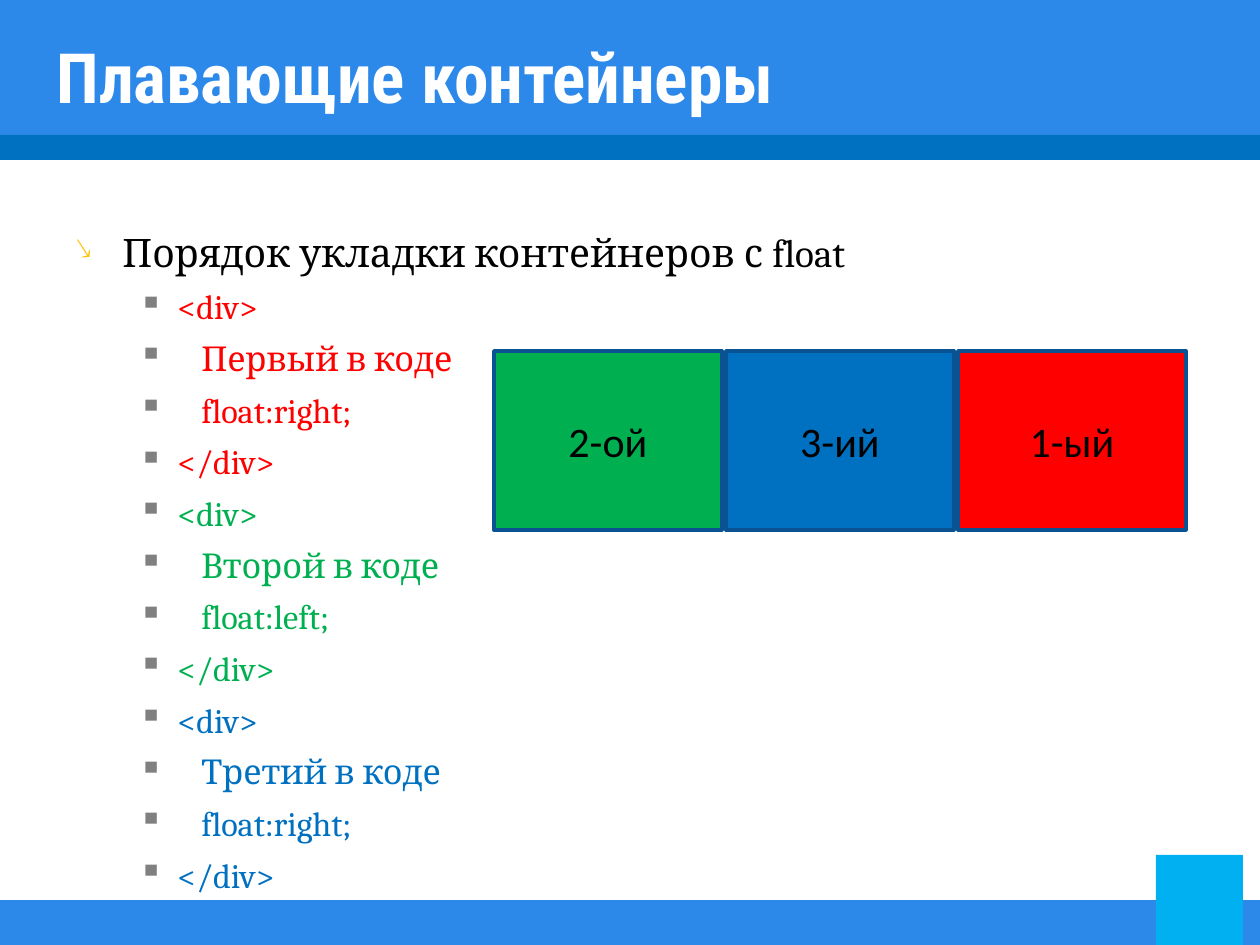
"""Build the slide about the stacking order of floating containers."""
import pptx
import pptx.dml.color
import pptx.enum.shapes
import pptx.enum.text
import pptx.oxml
import pptx.oxml.ns
import pptx.util

PX = 914400 // 126
COLORS = {
    "band": "2C88E9", "accent": "00B0F0", "red": "FF0000", "green": "00B050",
    "blue": "0070C0", "outline": "0B5292", "arrow": "FFC000", "bullet": "808080",
    "white": "FFFFFF", "black": "000000",
}


def add_box(slide, left, top, width, height, color):
    shape = slide.shapes.add_shape(
        pptx.enum.shapes.MSO_SHAPE.RECTANGLE, left * PX, top * PX, width * PX, height * PX)
    shape.shadow.inherit = False
    shape.fill.solid()
    shape.fill.fore_color.rgb = pptx.dml.color.RGBColor.from_string(COLORS[color])
    shape.line.fill.background()
    return shape


def style_font(paragraph, name, size, color):
    paragraph.font.name = name
    paragraph.font.size = pptx.util.Pt(size)
    paragraph.font.color.rgb = pptx.dml.color.RGBColor.from_string(COLORS[color])


presentation = pptx.Presentation()
presentation.slide_width = 1260 * PX
presentation.slide_height = 945 * PX
slide = presentation.slides.add_slide(presentation.slide_layouts[5])

for band in [
    (0, 0, 1260, 135, "band"),
    (0, 135, 1260, 25, "blue"),
    (0, 900, 1260, 45, "band"),
    (1156, 855, 87, 90, "accent"),
]:
    add_box(slide, *band)

title = slide.shapes.title
title.element.getparent().append(title.element)
title.left, title.top, title.width, title.height = 44 * PX, 37 * PX, 1134 * PX, 77 * PX
title.text_frame.text = "Плавающие контейнеры"
title.text_frame.vertical_anchor = pptx.enum.text.MSO_ANCHOR.MIDDLE
title_paragraph = title.text_frame.paragraphs[0]
title_paragraph.alignment = pptx.enum.text.PP_ALIGN.LEFT
title_paragraph.font.bold = True
style_font(title_paragraph, "Roboto Condensed", 39.6, "white")

lines = [("Порядок укладки контейнеров с float", "black")]
for ordinal, side, color in [
    ("Первый", "right", "red"),
    ("Второй", "left", "green"),
    ("Третий", "right", "blue"),
]:
    for text in ["<div>", f"\t{ordinal} в коде", f"\tfloat:{side};", "</div>"]:
        lines.append((text, color))

body = slide.shapes.add_textbox(63 * PX, 220 * PX, 1134 * PX, 619 * PX)
body.text_frame.word_wrap = True
for index, (text, color) in enumerate(lines):
    heading = index == 0
    paragraph = body.text_frame.paragraphs[0] if heading else body.text_frame.add_paragraph()
    paragraph.text = text
    paragraph.level = 0 if heading else 1
    paragraph.line_spacing = pptx.util.Pt(28 if heading else 23.5)
    paragraph.space_before = pptx.util.Pt(0 if heading else 6)
    style_font(paragraph, "Cambria", 22.4 if heading else 19.6, color)
    margin, hanging, mark, mark_color, mark_size = (
        (47, 47, "↘", "arrow", 75) if heading else (102, 39, "▪", "bullet", 100))
    properties = paragraph._p.get_or_add_pPr()
    properties.set("marL", str(margin * PX))
    properties.set("indent", str(-hanging * PX))
    for xml in [
        f'<a:buClr %s><a:srgbClr val="{COLORS[mark_color]}"/></a:buClr>',
        f'<a:buSzPct %s val="{mark_size * 1000}"/>',
        f'<a:buChar %s char="{mark}"/>',
    ]:
        properties.insert_element_before(
            pptx.oxml.parse_xml(xml % pptx.oxml.ns.nsdecls("a")), "a:tabLst", "a:defRPr")

for column, (label, color) in enumerate([("2-ой", "green"), ("3-ий", "blue"), ("1-ый", "red")]):
    container = add_box(slide, 494 + 232 * column, 351, 228, 179, color)
    container.line.color.rgb = pptx.dml.color.RGBColor.from_string(COLORS["outline"])
    container.line.width = pptx.util.Pt(2)
    container.text_frame.text = label
    container.text_frame.vertical_anchor = pptx.enum.text.MSO_ANCHOR.MIDDLE
    label_paragraph = container.text_frame.paragraphs[0]
    label_paragraph.alignment = pptx.enum.text.PP_ALIGN.CENTER
    style_font(label_paragraph, "Calibri", 24, "black")

presentation.save("out.pptx")
